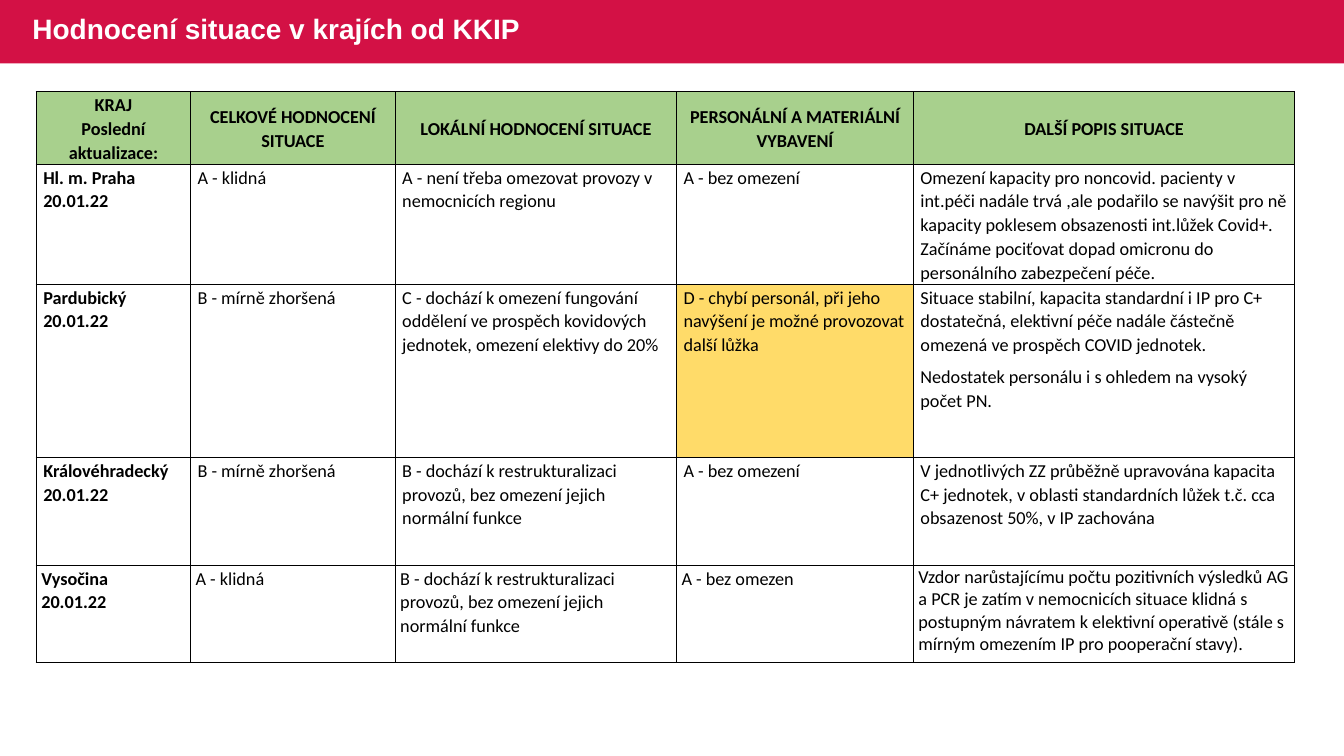
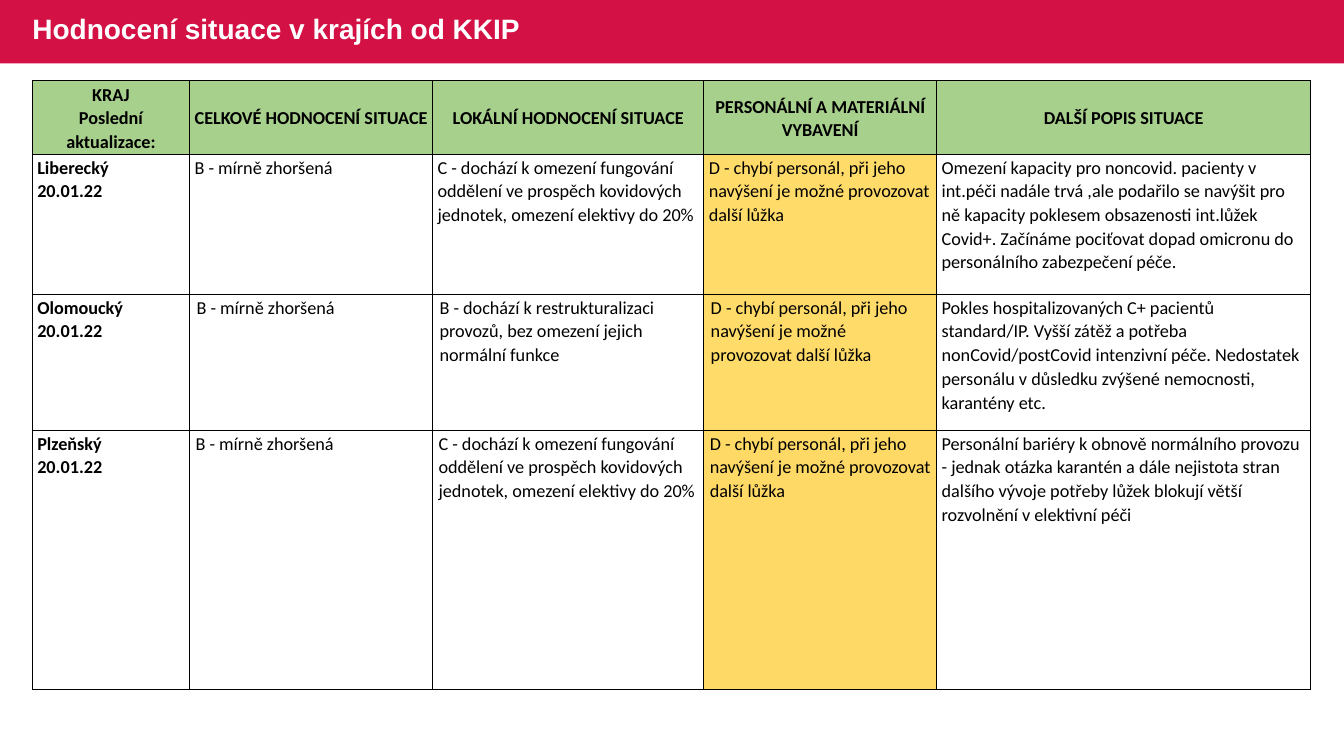
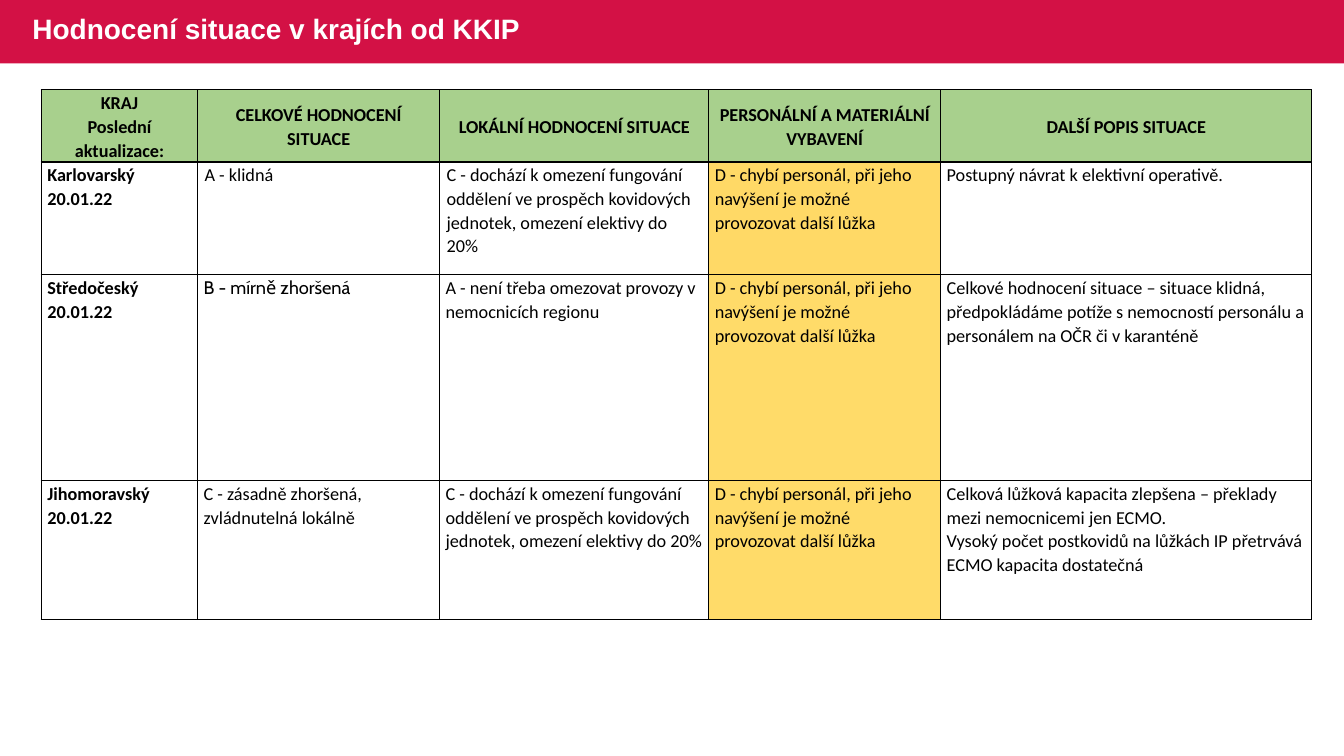
from dataclasses import dataclass

from lxml.etree import SubElement
from pptx import Presentation
from pptx.dml.color import RGBColor
from pptx.enum.shapes import MSO_SHAPE
from pptx.enum.text import MSO_ANCHOR, MSO_AUTO_SIZE, PP_ALIGN
from pptx.oxml import parse_xml
from pptx.oxml.ns import nsdecls, qn
from pptx.slide import Slide, SlideLayout
from pptx.table import _Cell
from pptx.text.text import TextFrame
from pptx.util import Inches, Pt

CRIMSON = RGBColor(0xD3, 0x11, 0x45)
GREEN = RGBColor(0xA8, 0xD0, 0x8D)
AMBER = RGBColor(0xFF, 0xDB, 0x69)
DEEP_AMBER = RGBColor(0xFF, 0xD9, 0x66)
WHITE = RGBColor(0xFF, 0xFF, 0xFF)
BLACK = RGBColor(0x00, 0x00, 0x00)

TITLE = "Hodnocení situace v krajích od KKIP"
DATE = "20.01.22"
HEADERS = (
    ("KRAJ", "Poslední aktualizace:"),
    ("CELKOVÉ HODNOCENÍ SITUACE",),
    ("LOKÁLNÍ HODNOCENÍ SITUACE",),
    ("PERSONÁLNÍ A MATERIÁLNÍ VYBAVENÍ",),
    ("DALŠÍ POPIS SITUACE",),
)

CALM = "A - klidná"
WORSE = "B - mírně zhoršená"
SEVERE = "C - zásadně zhoršená, zvládnutelná lokálně"
LOCAL_A = "A - není třeba omezovat provozy v nemocnicích regionu"
LOCAL_B = "B - dochází k restrukturalizaci provozů, bez omezení jejich normální funkce"
LOCAL_C = (
    "C - dochází k omezení fungování oddělení ve prospěch kovidových jednotek, "
    "omezení elektivy do 20%"
)
STAFF_A = "A - bez omezení"
STAFF_D = "D - chybí personál, při jeho navýšení je možné provozovat další lůžka"
NONCOVID_LIMITS = (
    "Omezení kapacity pro noncovid. pacienty v int.péči nadále trvá ,ale podařilo se "
    "navýšit pro ně kapacity poklesem obsazenosti int.lůžek Covid+. Začínáme pociťovat "
    "dopad omicronu do personálního zabezpečení péče."
)

NARROW, MIDDLE, WIDE = (0.05,) * 5, (0.06,) * 5, (0.07,) * 5


@dataclass(frozen=True)
class Region:
    name: str
    overall: str
    local: str
    staff: str
    details: tuple[str, ...]
    height: float
    insets: tuple[float, ...]
    staff_fill: RGBColor = WHITE
    overall_font: str = "Calibri"
    spacing: float = 1.07
    gap: float = 0


@dataclass(frozen=True)
class RegionTable:
    left: float
    top: float
    widths: tuple[float, ...]
    header_height: float
    header_insets: tuple[float, ...]
    regions: tuple[Region, ...]


TABLES = (
    RegionTable(0.36, 0.91, (1.53, 2.03, 2.79, 2.35, 3.78), 0.72, WIDE, (
        Region("Hl. m. Praha", CALM, LOCAL_A, STAFF_A, (NONCOVID_LIMITS,), 1.19, WIDE),
        Region("Pardubický", WORSE, LOCAL_C, STAFF_D, (
            "Situace stabilní, kapacita standardní i IP pro C+ dostatečná, elektivní péče "
            "nadále částečně omezená ve prospěch COVID jednotek.",
            "Nedostatek personálu i s ohledem na vysoký počet PN.",
        ), 1.72, WIDE, AMBER, gap=6),
        Region("Královéhradecký", WORSE, LOCAL_B, STAFF_A, (
            "V jednotlivých ZZ průběžně upravována kapacita C+ jednotek, v oblasti "
            "standardních lůžek t.č. cca obsazenost 50%, v IP zachována",
        ), 1.07, WIDE),
        Region("Vysočina", CALM, LOCAL_B, "A - bez omezen", (
            "Vzdor narůstajícímu počtu pozitivních výsledků AG a PCR je zatím v nemocnicích "
            "situace klidná s postupným návratem k elektivní operativě (stále s mírným "
            "omezením IP pro pooperační stavy).",
        ), 0.96, NARROW, spacing=1.0),
    )),
    RegionTable(0.32, 0.8, (1.56, 2.41, 2.69, 2.31, 3.71), 0.73, NARROW, (
        Region("Liberecký", WORSE, LOCAL_C, STAFF_D, (NONCOVID_LIMITS,), 1.39, NARROW, AMBER),
        Region("Olomoucký", WORSE, LOCAL_B, STAFF_D, (
            "Pokles hospitalizovaných C+ pacientů standard/IP. Vyšší zátěž a potřeba "
            "nonCovid/postCovid intenzivní péče. Nedostatek personálu v důsledku zvýšené "
            "nemocnosti, karantény etc.",
        ), 1.35, (0.05, 0.07, 0.07, 0.07, 0.05), AMBER),
        Region("Plzeňský", WORSE, LOCAL_C, STAFF_D, (
            "Personální bariéry k obnově normálního provozu - jednak otázka karantén a dále "
            "nejistota stran dalšího vývoje potřeby lůžek blokují větší rozvolnění "
            "v elektivní péči",
        ), 2.57, (0.05, 0.06, 0.06, 0.06, 0.05), DEEP_AMBER),
    )),
    RegionTable(0.41, 0.89, (1.55, 2.4, 2.67, 2.3, 3.68), 0.71, MIDDLE, (
        Region("Karlovarský", CALM, LOCAL_C, STAFF_D, (
            "Postupný návrat k elektivní operativě.",
        ), 1.12, (0.06, 0.07, 0.07, 0.06, 0.06), DEEP_AMBER),
        Region("Středočeský", WORSE, LOCAL_A, STAFF_D, (
            "Celkové hodnocení situace – situace klidná, předpokládáme potíže s nemocností "
            "personálu a personálem na OČR či v karanténě",
        ), 2.04, MIDDLE, AMBER, "Cabin"),
        Region("Jihomoravský", SEVERE, LOCAL_C, STAFF_D, (
            "Celková lůžková kapacita zlepšena – překlady mezi nemocnicemi jen ECMO.",
            "Vysoký počet postkovidů na lůžkách IP přetrvává ECMO kapacita dostatečná",
        ), 1.38, MIDDLE, AMBER),
    )),
)


def write(tf: TextFrame, lines: tuple[str, ...], *, font: str = "Calibri", size: float = 13,
          bold: bool = False, color: RGBColor = BLACK, align: PP_ALIGN = PP_ALIGN.LEFT,
          spacing: float = 1.07, gap: float = 0) -> None:
    for i, line in enumerate(lines):
        p = tf.add_paragraph() if i else tf.paragraphs[0]
        p.alignment = align
        p.line_spacing = spacing
        p.space_before = Pt(gap if i else 0)
        r = p.add_run()
        r.text = line
        r.font.name = font
        r.font.size = Pt(size)
        r.font.bold = bold
        r.font.color.rgb = color


def set_borders(cell: _Cell) -> None:
    tc_pr = cell._tc.get_or_add_tcPr()
    for i, side in enumerate(("lnL", "lnR", "lnT", "lnB")):
        ln = parse_xml(f'<a:{side} {nsdecls("a")} w="{Pt(1)}"/>')
        fill = SubElement(ln, qn("a:solidFill"))
        SubElement(fill, qn("a:srgbClr"), val=str(BLACK))
        tc_pr.insert(i, ln)


def format_cell(cell: _Cell, fill: RGBColor, inset: float, anchor: MSO_ANCHOR) -> None:
    cell.margin_left = cell.margin_right = Inches(inset)
    cell.margin_top, cell.margin_bottom = Inches(0.01), Inches(0)
    cell.vertical_anchor = anchor
    cell.fill.solid()
    cell.fill.fore_color.rgb = fill
    set_borders(cell)


def add_band(s: Slide, layout: SlideLayout, width: int) -> None:
    band = s.shapes.add_shape(MSO_SHAPE.RECTANGLE, 0, 0, width, Inches(0.63))
    band.shadow.inherit = False
    band.fill.solid()
    band.fill.fore_color.rgb = CRIMSON
    band.line.fill.background()
    layout.shapes.element.insert(2, band.element)


def add_title(s: Slide) -> None:
    title = s.shapes.title
    title.left, title.top = Inches(0.22), Inches(-0.01)
    title.width, title.height = Inches(8.14), Inches(0.63)
    tf = title.text_frame
    tf.auto_size = MSO_AUTO_SIZE.NONE
    tf.vertical_anchor = MSO_ANCHOR.MIDDLE
    write(tf, (TITLE,), font="Arial", size=20, bold=True, color=WHITE, spacing=0.9)


def add_region_row(cells: list[_Cell], region: Region) -> None:
    columns = (
        ((region.name, DATE), WHITE, {"bold": True}),
        ((region.overall,), WHITE, {"font": region.overall_font}),
        ((region.local,), WHITE, {}),
        ((region.staff,), region.staff_fill, {}),
        (region.details, WHITE, {"spacing": region.spacing, "gap": region.gap}),
    )
    for cell, (lines, fill, style), inset in zip(cells, columns, region.insets):
        format_cell(cell, fill, inset, MSO_ANCHOR.TOP)
        write(cell.text_frame, lines, **style)


def add_region_table(s: Slide, data: RegionTable) -> None:
    heights = (data.header_height, *(region.height for region in data.regions))
    table = s.shapes.add_table(
        len(heights), len(HEADERS), Inches(data.left), Inches(data.top),
        Inches(sum(data.widths)), Inches(sum(heights))).table
    table.horz_banding = False
    for column, width in zip(table.columns, data.widths):
        column.width = Inches(width)
    for row, height in zip(table.rows, heights):
        row.height = Inches(height)
    for cell, lines, inset in zip(table.rows[0].cells, HEADERS, data.header_insets):
        format_cell(cell, GREEN, inset, MSO_ANCHOR.MIDDLE)
        write(cell.text_frame, lines, bold=True, align=PP_ALIGN.CENTER)
    for i, region in enumerate(data.regions, start=1):
        add_region_row(list(table.rows[i].cells), region)


def main() -> None:
    prs = Presentation()
    prs.slide_width, prs.slide_height = Inches(13.33), Inches(7.5)
    layout = prs.slide_layouts[5]
    for i, data in enumerate(TABLES):
        s = prs.slides.add_slide(layout)
        if i == 0:
            add_band(s, layout, prs.slide_width)
        add_title(s)
        add_region_table(s, data)
    prs.save("out.pptx")


if __name__ == "__main__":
    main()
